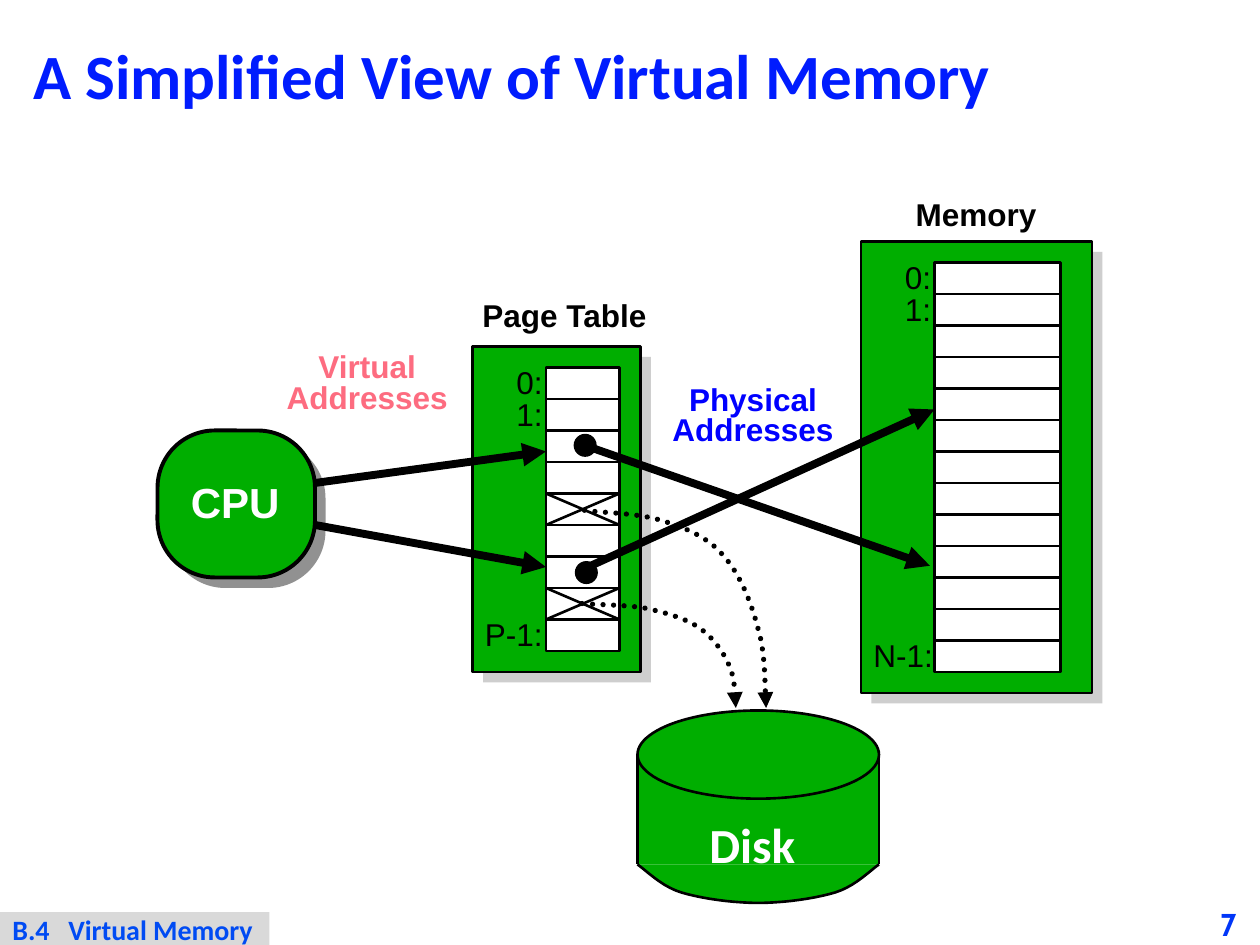
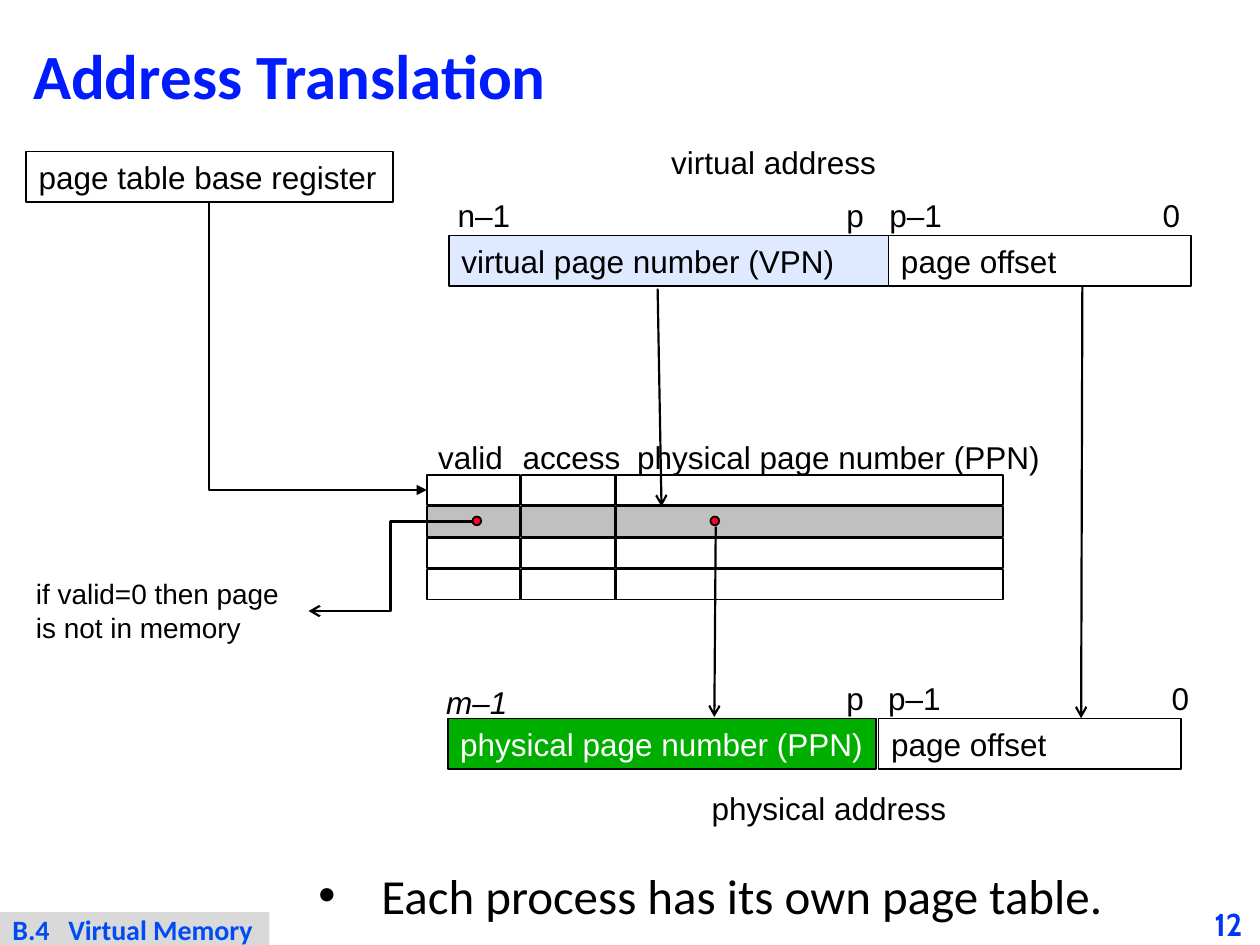
from dataclasses import dataclass

from lxml import etree
from pptx import Presentation
from pptx.dml.color import RGBColor
from pptx.enum.dml import MSO_LINE
from pptx.enum.shapes import MSO_CONNECTOR, MSO_SHAPE
from pptx.enum.text import MSO_ANCHOR, PP_ALIGN
from pptx.oxml.ns import qn
from pptx.util import Pt

RECTANGLE, ROUNDED, OVAL = MSO_SHAPE.RECTANGLE, MSO_SHAPE.ROUNDED_RECTANGLE, MSO_SHAPE.OVAL
STRAIGHT, ELBOW = MSO_CONNECTOR.STRAIGHT, MSO_CONNECTOR.ELBOW
LEFT, CENTER = PP_ALIGN.LEFT, PP_ALIGN.CENTER
TOP, MIDDLE = MSO_ANCHOR.TOP, MSO_ANCHOR.MIDDLE
DOTTED = MSO_LINE.ROUND_DOT


@dataclass(frozen=True)
class Theme:
    """Colours, fonts and type sizes shared by the slides."""
    black: str = "000000"
    white: str = "FFFFFF"
    green: str = "00AE00"
    title_blue: str = "001CFE"
    number_blue: str = "0136F8"
    footer_blue: str = "004BF3"
    footer_gray: str = "D9D9D9"
    panel_shadow: str = "CECECE"
    processor_shadow: str = "919191"
    virtual_pink: str = "FD6C80"
    physical_blue: str = "0000FF"
    pale_blue: str = "DFE9FF"
    entry_gray: str = "C0C0C0"
    dot_red: str = "FC0128"
    diagram_font: str = "Arial"
    text_font: str = "Calibri"
    number_font: str = "Cabin"
    title_size: int = 36
    large_size: int = 28
    processor_size: int = 24
    label_size: int = 18
    note_size: int = 16


THEME = Theme()


def write_text(shape, text, size=THEME.label_size, font=THEME.diagram_font, color=THEME.black,
               bold=False, italic=False, align=LEFT, anchor=TOP, wrap=False,
               line_spacing=None, margins=(7.2, 3.6), bullet=None, indent=0, tab=None):
    """Write each line of text as a paragraph of the shape."""
    frame = shape.text_frame
    frame.word_wrap = wrap
    frame.vertical_anchor = anchor
    frame.margin_left = frame.margin_right = Pt(margins[0])
    frame.margin_top = frame.margin_bottom = Pt(margins[1])
    frame.text = text
    for paragraph in frame.paragraphs:
        paragraph.alignment = align
        if line_spacing:
            paragraph.line_spacing = line_spacing
        properties = paragraph._p.get_or_add_pPr()
        if bullet:
            properties.set("marL", str(Pt(indent)))
            properties.set("indent", str(-Pt(indent)))
            etree.SubElement(properties, qn("a:buFont"), typeface=THEME.diagram_font)
            etree.SubElement(properties, qn("a:buChar"), char=bullet)
        if tab:
            tabs = etree.SubElement(properties, qn("a:tabLst"))
            etree.SubElement(tabs, qn("a:tab"), pos=str(Pt(tab)), algn="l")
        for run in paragraph.runs:
            run.font.size, run.font.name = Pt(size), font
            run.font.bold, run.font.italic = bold, italic
            run.font.color.rgb = RGBColor.from_string(color)


def add_label(slide, text, left, top, width, height=28.8, **text_format):
    """Add a text box."""
    box = slide.shapes.add_textbox(Pt(left), Pt(top), Pt(width), Pt(height))
    write_text(box, text, **text_format)


def paint(shape, fill=None, line=THEME.black, line_width=1.5):
    """Set the fill and outline of a shape and drop its shadow."""
    shape.shadow.inherit = False
    if fill:
        shape.fill.solid()
        shape.fill.fore_color.rgb = RGBColor.from_string(fill)
    else:
        shape.fill.background()
    if line:
        shape.line.color.rgb = RGBColor.from_string(line)
        shape.line.width = Pt(line_width)
    else:
        shape.line.fill.background()


def add_block(slide, kind, left, top, width, height, fill, **outline):
    """Add a painted preset shape."""
    shape = slide.shapes.add_shape(kind, Pt(left), Pt(top), Pt(width), Pt(height))
    paint(shape, fill, **outline)
    return shape


def set_arrowhead(shape, head):
    """Put an arrowhead at the end of a line."""
    etree.SubElement(shape.line._get_or_add_ln(), qn("a:tailEnd"), type=head)


def add_line(slide, start, end, width=1.5, head=None, kind=STRAIGHT):
    """Add a connector between two points."""
    connector = slide.shapes.add_connector(kind, *(Pt(value) for value in (*start, *end)))
    connector.line.color.rgb = RGBColor.from_string(THEME.black)
    connector.line.width = Pt(width)
    etree.SubElement(connector._element.spPr, qn("a:effectLst"))
    if head:
        set_arrowhead(connector, head)
    return connector


def add_corner_arrow(slide, start, end):
    """Add an arrow that runs down from start and then right to end."""
    center_x, center_y = (start[0] + end[0]) / 2, (start[1] + end[1]) / 2
    half_width, half_height = (end[1] - start[1]) / 2, (end[0] - start[0]) / 2
    connector = add_line(slide, (center_x + half_width, center_y - half_height),
                         (center_x - half_width, center_y + half_height),
                         1.25, "triangle", ELBOW)
    properties = connector._element.spPr
    properties.find(qn("a:xfrm")).set("rot", str(270 * 60000))
    properties.find(qn("a:prstGeom")).set("prst", "bentConnector2")


def add_curve(slide, points, steps=10):
    """Add a freeform through a chain of cubic Bezier segments."""
    traced = []
    for first in range(0, len(points) - 1, 3):
        controls = points[first:first + 4]
        for step in range(1, steps + 1):
            t = step / steps
            weights = ((1 - t) ** 3, 3 * t * (1 - t) ** 2, 3 * t * t * (1 - t), t ** 3)
            traced.append(tuple(Pt(sum(weight * point[axis] for weight, point
                                       in zip(weights, controls))) for axis in (0, 1)))
    builder = slide.shapes.build_freeform(Pt(points[0][0]), Pt(points[0][1]))
    builder.add_line_segments(traced, close=False)
    return builder.convert_to_shape()


def add_frame(slide, title, number):
    """Add the title, slide number and section footer."""
    add_label(slide, title, 11.8, 10.8, 697, 69.8, size=THEME.title_size, font=THEME.text_font,
              color=THEME.title_blue, bold=True, anchor=MIDDLE, wrap=True, line_spacing=0.87)
    add_label(slide, number, 684, 516.2, 36, 23.8, font=THEME.number_font,
              color=THEME.number_blue, bold=True, align=CENTER, anchor=MIDDLE,
              wrap=True, margins=(0, 0))
    footer = add_block(slide, RECTANGLE, 0, 521.3, 154, 19.4, THEME.footer_gray, line=None)
    write_text(footer, "B.4\tVirtual Memory", size=THEME.note_size, font=THEME.text_font,
               color=THEME.footer_blue, bold=True, margins=(7.2, 0), tab=32)


def draw_processor(slide, left, top, width, height):
    """Draw the processor with its shadow."""
    for offset, fill, line in ((6, THEME.processor_shadow, None), (0, THEME.green, THEME.black)):
        body = add_block(slide, ROUNDED, left + offset, top + offset, width, height, fill,
                         line=line, line_width=2.25)
        body.adjustments[0] = 0.39
    add_label(slide, "CPU", left + 12, top + 22.5, 65.5, 36, size=THEME.processor_size,
              color=THEME.white, bold=True)


def draw_store(slide, left, top, width, height, cell_left, cell_width, cell_count, last_label):
    """Draw a shadowed panel with a column of numbered cells."""
    cell_height, padding = 18, 12
    add_block(slide, RECTANGLE, left + 6, top + 6, width, height, THEME.panel_shadow, line=None)
    add_block(slide, RECTANGLE, left, top, width, height, THEME.green)
    for row in range(cell_count):
        add_block(slide, RECTANGLE, left + cell_left, top + padding + row * cell_height,
                  cell_width, cell_height, THEME.white)
    for row, text, label_left, label_width in ((0, "0:", 18, 30), (1, "1:", 18, 30),
                                               (cell_count - 1, last_label, 0, 54)):
        add_label(slide, text, left + label_left,
                  top + padding + row * cell_height - 6, label_width)


def draw_cross(slide, left, top, width, height):
    """Cross out a cell."""
    add_line(slide, (left, top + height), (left + width, top))
    add_line(slide, (left + width, top + height), (left, top))


def draw_disk(slide, left, top, width):
    """Draw the disk as a cylinder with its label."""
    rim, bottom = top + 25.2, top + 88
    add_block(slide, RECTANGLE, left, rim, width, bottom - rim, THEME.green, line=None)
    add_block(slide, OVAL, left, top, width, 50.4, THEME.green)
    for side in (left, left + width):
        add_line(slide, (side, rim), (side, bottom))
    half = [(0, 0), (4.5, 3), (13.5, 12.5), (25, 16), (36.5, 19.5), (54.5, 22), (width / 2, 22)]
    bowl = half + [(width - x, y) for x, y in half[-2::-1]]
    paint(add_curve(slide, [(left + x, bottom + y) for x, y in bowl]), THEME.green)
    add_label(slide, "Disk", left + 34, top + 56, 64, 41, size=THEME.large_size,
              font=THEME.text_font, color=THEME.white, bold=True)


def draw_disk_arrows(slide):
    """Draw the dotted arrows from the crossed entries to the disk."""
    for points in (
        [(334, 291.6), (341.3, 293), (364.3, 293), (378, 297.4), (391.7, 301.7),
         (404.6, 306.7), (414, 318.2), (423.4, 329), (429.8, 345.6), (433.4, 360),
         (437.8, 374.4), (437, 395.3), (437.8, 404.6)],
        [(332.6, 344.9), (339.1, 345.6), (359.3, 345.6), (370.1, 347.8), (381.6, 350.6),
         (392.4, 353.5), (400.3, 359.3), (408.2, 365), (414, 373.7), (416.9, 380.9),
         (420.5, 388.8), (419.8, 399.6), (420.5, 404.6)],
    ):
        curve = add_curve(slide, points)
        paint(curve, line_width=3)
        curve.line.dash_style = DOTTED
        curve.line._get_or_add_ln().set("cap", "rnd")
        set_arrowhead(curve, "triangle")


def build_memory_view(slide):
    """Build the simplified view of virtual memory."""
    add_frame(slide, "A Simplified View of Virtual Memory", "7")
    draw_processor(slide, 90, 246, 90, 84)
    draw_store(slide, 492, 138, 132, 258, 42, 72, 13, "N-1:")
    draw_store(slide, 270, 198, 96, 186, 42, 42, 9, "P-1:")
    add_label(slide, "Memory", 516.2, 108, 84.2, bold=True)
    add_label(slide, "Page Table", 268.6, 165.6, 108.7, bold=True)
    for left, top in ((328.3, 248.4), (329, 321.1)):
        add_block(slide, OVAL, left, top, 12.2, 12.2, THEME.black, line_width=1)
    for start, end in (((180, 276), (312, 258)), ((180, 300), (312, 324)),
                       ((335.5, 255), (531.4, 323.3)), ((336, 324), (534, 234))):
        add_line(slide, start, end, 4.5, "triangle")
    for top in (282, 336):
        draw_cross(slide, 312, top, 42, 18)
    draw_disk(slide, 364.3, 406, 138)
    draw_disk_arrows(slide)
    for text, left, top, color in (("Virtual\nAddresses", 156.2, 199.2, THEME.virtual_pink),
                                   ("Physical\nAddresses", 376.6, 217.6, THEME.physical_blue)):
        add_label(slide, text, left, top, 107.3, 41.8, color=color, bold=True,
                  align=CENTER, line_spacing=0.8)


def draw_address(slide, left, top, fields, gap, bit_marks):
    """Draw an address as adjoining fields with bit positions above."""
    field_left = left
    for text, width, fill, color in fields:
        field = add_block(slide, RECTANGLE, field_left, top, width, 28.8, fill, line_width=1)
        write_text(field, text, color=color, anchor=MIDDLE)
        field_left += width + gap
    for text, offset, drop, width, italic in bit_marks:
        add_label(slide, text, left + offset, top - 25.9 + drop, width, italic=italic)


def draw_page_table(slide, left, top):
    """Draw the page table with its headings and marked entry."""
    for column_left, width, heading, heading_left, heading_width in (
        (0, 53.3, "valid", -0.7, 51.8),
        (54, 53.3, "access", 47.5, 70.6),
        (108, 221, "physical page number (PPN)", 113, 247),
    ):
        for row in range(4):
            fill = THEME.entry_gray if row == 1 else THEME.white
            add_block(slide, RECTANGLE, left + column_left, top + row * 18, width, 17.3, fill,
                      line_width=1)
        add_label(slide, heading, left + heading_left, top - 24.5, heading_width)
    for dot_left in (26, 162):
        add_block(slide, OVAL, left + dot_left, top + 23.8, 5, 5, THEME.dot_red, line_width=1)


def build_address_translation(slide):
    """Build the address translation diagram."""
    add_frame(slide, "Address Translation", "12")
    offset_field = ("page offset", 172.8, THEME.white, THEME.black)
    draw_address(slide, 256.5, 134.6,
                 (("virtual page number (VPN)", 251.3, THEME.pale_blue, THEME.black),
                  offset_field), 0,
                 (("n–1", -2, 0, 45.4, False), ("p", 220, 0, 25.2, False),
                  ("p–1", 244.6, 0, 45.4, False), ("0", 400.8, 0, 24.5, False)))
    draw_address(slide, 255.9, 410.6,
                 (("physical page number (PPN)", 244.8, THEME.green, THEME.white),
                  offset_field), 1.4,
                 (("m–1", -8, 2, 50.4, True), ("p", 220.7, 0, 25.2, False),
                  ("p–1", 244.5, 0, 45.4, False), ("0", 406.5, 0, 24.5, False)))
    add_label(slide, "virtual address", 376.4, 78.2, 132.5)
    add_label(slide, "physical address", 399.6, 447.1, 148.3, wrap=True)
    register = add_block(slide, RECTANGLE, 15, 86.6, 209.5, 28.8, THEME.white, line_width=1)
    write_text(register, "page table base register", anchor=MIDDLE)
    draw_page_table(slide, 244, 271.4)
    add_label(slide, "if valid=0 then page is not in memory", 13.5, 326, 162.7, 46,
              size=THEME.note_size, wrap=True)
    for start, end in (((409, 301), (408.2, 409.7)), ((618.5, 163.4), (617.8, 410.4)),
                       ((375.8, 164.9), (378, 289.4))):
        add_line(slide, start, end, 1.25, "arrow")
    add_line(slide, (270, 298), (176.4, 349.2), 1.25, "arrow", ELBOW)
    add_corner_arrow(slide, (119.5, 115.4), (244, 280))
    add_label(slide, "Each process has its own page table.", 174.8, 491, 467.3, 41,
              size=THEME.large_size, font=THEME.text_font, bullet="•", indent=36)


def main():
    """Build and save the presentation."""
    presentation = Presentation()
    presentation.slide_width, presentation.slide_height = Pt(720), Pt(540)
    for build in (build_memory_view, build_address_translation):
        build(presentation.slides.add_slide(presentation.slide_layouts[6]))
    presentation.save("out.pptx")


if __name__ == "__main__":
    main()
